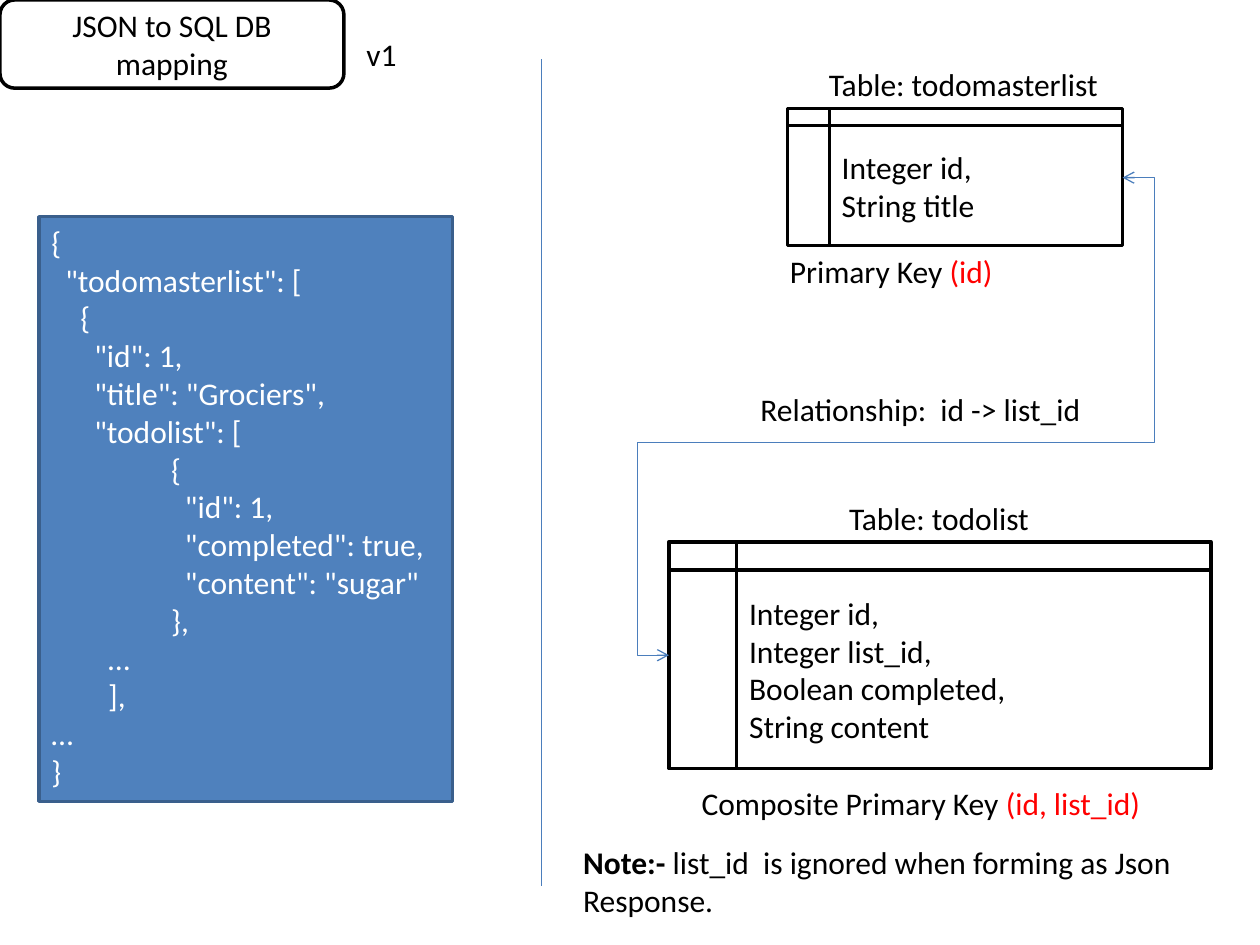
from lxml import etree
from pptx import Presentation
from pptx.dml.color import RGBColor
from pptx.enum.shapes import MSO_CONNECTOR, MSO_SHAPE
from pptx.enum.text import MSO_ANCHOR, MSO_AUTO_SIZE, PP_ALIGN
from pptx.oxml.ns import qn
from pptx.util import Inches, Pt

LEFT, CENTER = PP_ALIGN.LEFT, PP_ALIGN.CENTER
TOP, MIDDLE = MSO_ANCHOR.TOP, MSO_ANCHOR.MIDDLE
FIT = MSO_AUTO_SIZE.SHAPE_TO_FIT_TEXT
RECTANGLE = MSO_SHAPE.RECTANGLE
ROUNDED = MSO_SHAPE.ROUNDED_RECTANGLE
STORAGE = MSO_SHAPE.FLOWCHART_INTERNAL_STORAGE
STRAIGHT, ELBOW = MSO_CONNECTOR.STRAIGHT, MSO_CONNECTOR.ELBOW

COLORS = {
    "paper": "FFFFFF", "ink": "000000", "key": "FF0000",
    "code": "4F81BD", "code_edge": "3A5F8C", "link": "4B7EBC",
}

JSON_LINES = [
    (0, '{'),
    (0.11, '"todomasterlist": ['),
    (0.23, '{'),
    (0.34, '"id": 1,'),
    (0.34, '"title": "Grociers",'),
    (0.34, '"todolist": ['),
    (0.95, '{'),
    (1.06, '"id": 1,'),
    (1.06, '"completed": true,'),
    (1.06, '"content": "sugar"'),
    (0.95, '},'),
    (0.45, '…'),
    (0.45, '],'),
    (0, '…'),
    (0, '}'),
]

TABLES = [
    ((6.25, 0.86, 2.66, 1.09), ["Integer id,", "String title"]),
    ((5.31, 4.3, 4.3, 1.8),
     ["Integer id,", "Integer list_id,", "Boolean completed,", "String content"]),
]

LABELS = [
    ((6.64, 3.91, 1.8, 0.4), ["Table: todolist"]),
    ((2.81, 0.23, 0.55, 0.4), ["v1"]),
    ((5.47, 6.17, 3.91, 0.4),
     ["Composite Primary Key ", ("(id, list_id)", {"color": "key"})]),
    ((6.17, 1.95, 2.58, 0.4), ["Primary Key ", ("(id)", {"color": "key"})]),
    ((4.53, 6.64, 5.47, 0.71),
     [("Note:- ", {"bold": True}),
      "list_id  is ignored when forming as Json Response."]),
]


def rgb(name):
    return RGBColor.from_string(COLORS[name])


def add_text(paragraph, text, color="ink", bold=False, size=18, font="Calibri"):
    run = paragraph.add_run()
    run.text = text
    run.font.name = font
    run.font.size = Pt(size)
    run.font.bold = bold
    run.font.color.rgb = rgb(color)


class MappingSlide:
    """Draws boxes, labels and links in one style on the current slide."""

    def __init__(self, slide):
        self.slide = slide

    def fill_lines(self, frame, lines, align=LEFT, color="ink"):
        for index, (indent, runs) in enumerate(lines):
            paragraph = frame.add_paragraph() if index else frame.paragraphs[0]
            paragraph.alignment = align
            if indent:
                properties = paragraph._p.get_or_add_pPr()
                properties.set("marL", str(Inches(indent)))
                properties.set("indent", "0")
            for run in runs:
                text, style = (run, {}) if isinstance(run, str) else run
                add_text(paragraph, text, **{"color": color, **style})

    def box(self, kind, place, lines, fill="paper", edge="ink", color="ink",
            align=LEFT, anchor=MIDDLE):
        shape = self.slide.shapes.add_shape(kind, *map(Inches, place))
        shape.shadow.inherit = False
        shape.fill.solid()
        shape.fill.fore_color.rgb = rgb(fill)
        shape.line.color.rgb = rgb(edge)
        shape.line.width = Pt(2)
        frame = shape.text_frame
        frame.word_wrap = True
        frame.vertical_anchor = anchor
        self.fill_lines(frame, lines, align, color)

    def label(self, place, runs, align=LEFT, wrap=True):
        frame = self.slide.shapes.add_textbox(*map(Inches, place)).text_frame
        frame.word_wrap = wrap
        frame.auto_size = FIT
        self.fill_lines(frame, [(0, runs)], align)

    def link(self, kind, start, end):
        connector = self.slide.shapes.add_connector(kind, *map(Inches, start + end))
        connector.line.color.rgb = rgb("link")
        connector.line.width = Pt(0.75)
        etree.SubElement(connector._element.spPr, qn("a:effectLst"))
        return connector

    def relationship(self, start, end, bends):
        connector = self.link(ELBOW, start, end)
        geometry = connector._element.spPr.find(qn("a:prstGeom"))
        geometry.set("prst", "bentConnector5")
        guides = geometry.find(qn("a:avLst"))
        for number, bend in enumerate(bends, 1):
            etree.SubElement(guides, qn("a:gd"), name=f"adj{number}",
                             fmla=f"val {round(bend * 100000)}")
        for tip in ("a:headEnd", "a:tailEnd"):
            etree.SubElement(connector.line._get_or_add_ln(), qn(tip), type="arrow")


def main():
    deck = Presentation()
    deck.slide_width, deck.slide_height = Inches(10), Inches(7.5)
    page = MappingSlide(deck.slides.add_slide(deck.slide_layouts[6]))

    page.box(ROUNDED, (0, 0, 2.73, 0.7), [(0, ["JSON to SQL DB mapping"])],
             align=CENTER)
    for place, columns in TABLES:
        page.box(STORAGE, place, [(0, [column]) for column in columns])
    page.relationship((8.91, 1.41), (5.31, 5.2), (-0.07, 0.555, 1.07))
    page.label((6.48, 0.47, 2.34, 0.4), ["Table: todomasterlist"], wrap=False)
    page.label((5.86, 3.05, 2.89, 0.4), ["Relationship:  id -> list_id"],
               align=CENTER)
    page.box(RECTANGLE, (0.31, 1.72, 3.28, 4.64),
             [(indent, [line]) for indent, line in JSON_LINES],
             fill="code", edge="code_edge", color="paper", anchor=TOP)
    page.link(STRAIGHT, (4.3, 0.47), (4.3, 7.03))
    for place, runs in LABELS:
        page.label(place, runs)

    deck.save("out.pptx")


if __name__ == "__main__":
    main()
